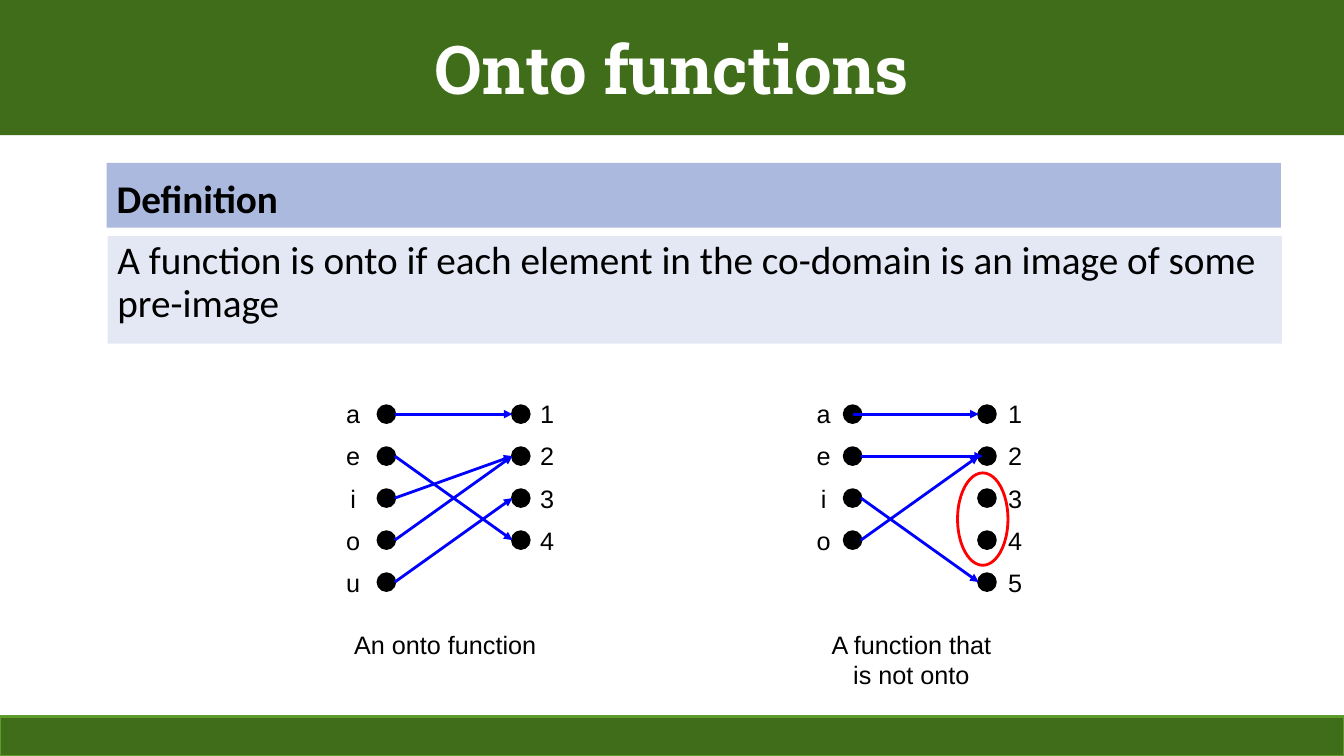
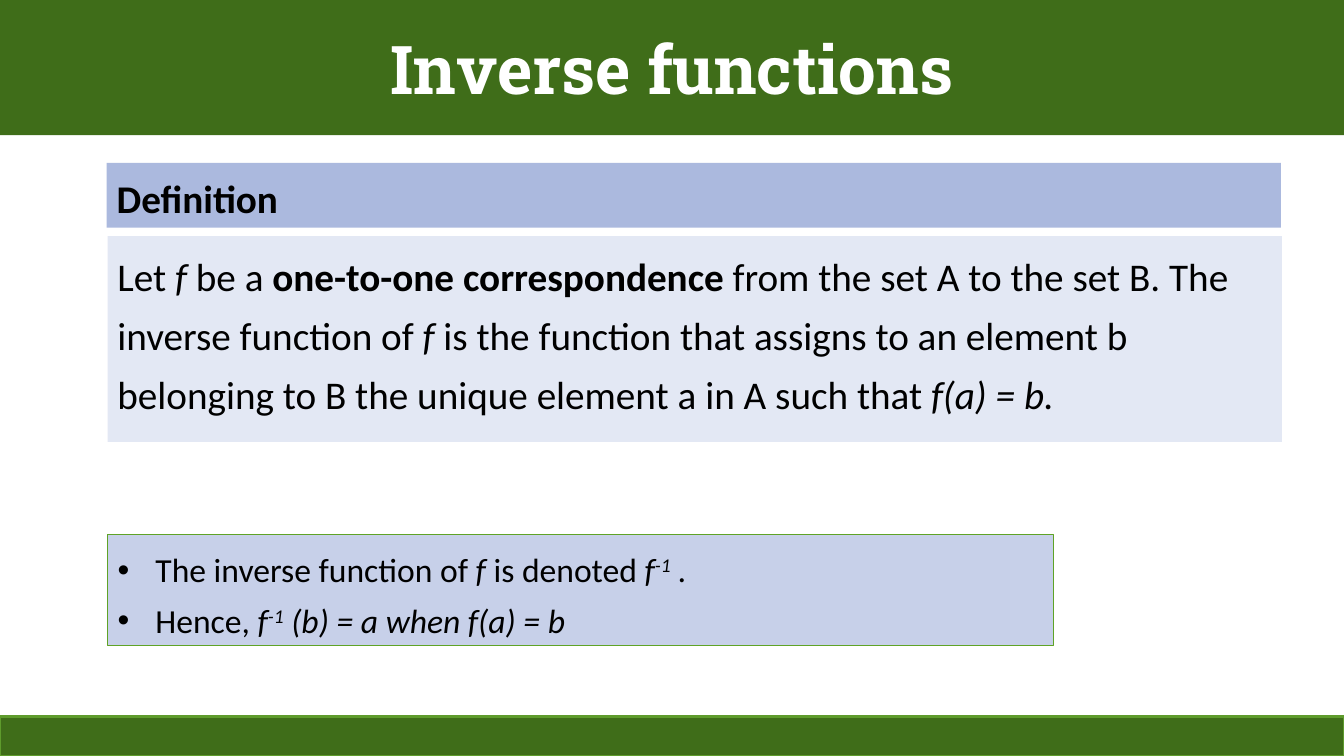
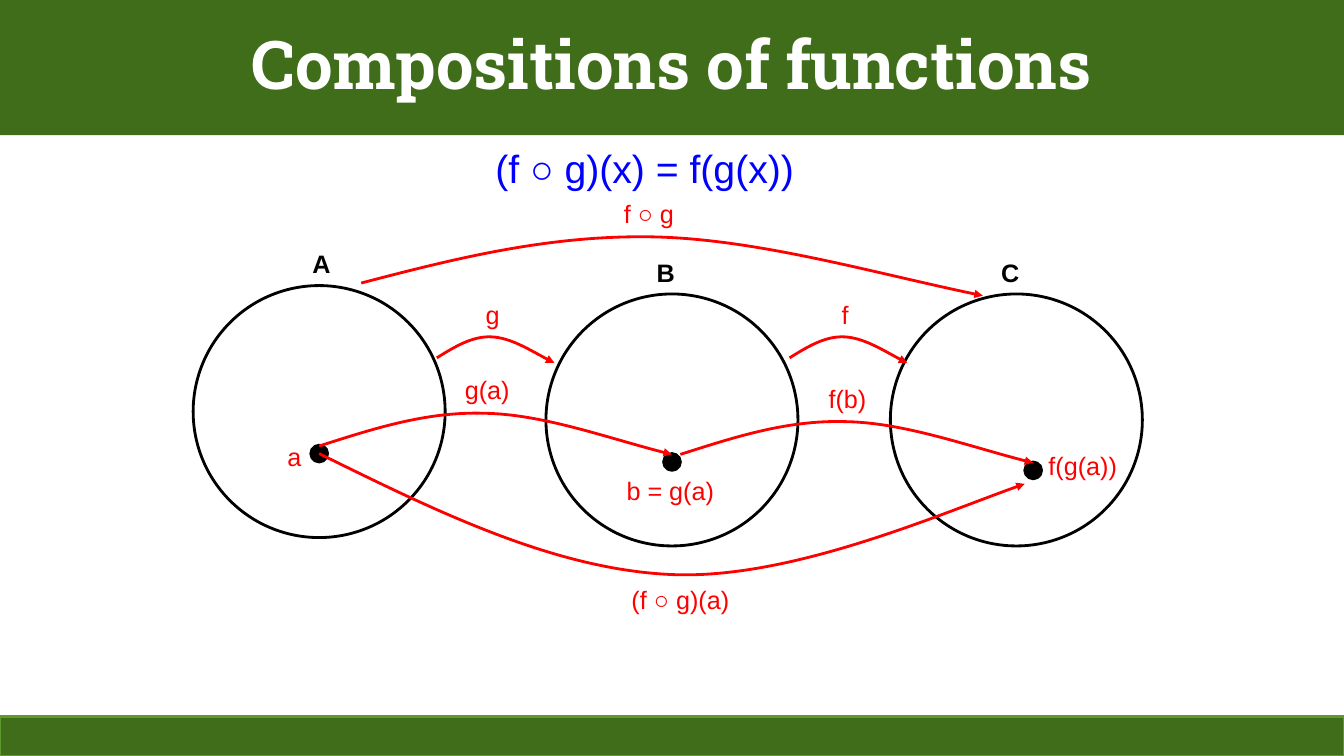
from dataclasses import dataclass

from pptx import Presentation
from pptx.dml.color import RGBColor
from pptx.enum.shapes import MSO_CONNECTOR, MSO_SHAPE
from pptx.enum.text import MSO_ANCHOR, MSO_AUTO_SIZE, PP_ALIGN
from pptx.oxml.ns import qn
from pptx.oxml.xmlchemy import OxmlElement
from pptx.util import Pt

PX = 7620
WIDTH, HEIGHT = 1600, 900
DOT = 20
FIRST_ROW, ROW_STEP = 493, 50
TITLE_AND_CONTENT, TITLE_ONLY = 1, 5
RECTANGLE, ELLIPSE = MSO_SHAPE.RECTANGLE, MSO_SHAPE.OVAL
STRAIGHT = MSO_CONNECTOR.STRAIGHT
LEFT, CENTER = PP_ALIGN.LEFT, PP_ALIGN.CENTER
TOP, MIDDLE = MSO_ANCHOR.TOP, MSO_ANCHOR.MIDDLE
FIXED, GROW = MSO_AUTO_SIZE.NONE, MSO_AUTO_SIZE.SHAPE_TO_FIT_TEXT


@dataclass(frozen=True)
class Theme:
    band: RGBColor = RGBColor(0x3F, 0x6D, 0x19)
    band_line: RGBColor = RGBColor(0x5E, 0x9B, 0x2C)
    heading_fill: RGBColor = RGBColor(0xAB, 0xB9, 0xDE)
    definition_fill: RGBColor = RGBColor(0xE3, 0xE8, 0xF4)
    list_fill: RGBColor = RGBColor(0xC7, 0xD0, 0xE9)
    list_line: RGBColor = RGBColor(0x5F, 0xA3, 0x26)
    white: RGBColor = RGBColor(0xFF, 0xFF, 0xFF)
    black: RGBColor = RGBColor(0, 0, 0)
    blue: RGBColor = RGBColor(0, 0, 0xFF)
    red: RGBColor = RGBColor(0xFF, 0, 0)
    title_font: str = "Roboto Slab"
    text_font: str = "Calibri"
    label_font: str = "Arial"
    title_size: int = 48
    text_size: int = 28
    list_size: int = 24
    label_size: int = 18
    line_width: float = 2
    thin_line: float = 0.75


class Deck:
    def __init__(self, theme):
        self.theme = theme
        self.presentation = Presentation()
        self.presentation.slide_width = WIDTH * PX
        self.presentation.slide_height = HEIGHT * PX
        self.slide = None

    def start_slide(self, title, layout=TITLE_ONLY, spacing=1.0):
        theme = self.theme
        layouts = self.presentation.slide_layouts
        self.slide = self.presentation.slides.add_slide(layouts[layout])
        shape = self.slide.shapes.title
        self.place(shape, (0, 0, WIDTH, 161))
        self.paint(shape, theme.band)
        self.set_text(shape, [title], theme.title_font, theme.title_size, theme.white,
                      bold=True, align=CENTER, anchor=MIDDLE, spacing=spacing)
        self.shape(RECTANGLE, (0, 853, WIDTH, 47), theme.band, theme.band_line)

    def place(self, shape, box):
        shape.left, shape.top, shape.width, shape.height = (n * PX for n in box)

    def paint(self, shape, fill=None, line=None, width=None):
        if fill is None:
            shape.fill.background()
        else:
            shape.fill.solid()
            shape.fill.fore_color.rgb = fill
        if line is None:
            shape.line.fill.background()
        else:
            self.stroke(shape, line, width)

    def stroke(self, shape, color, width=None, arrow=False):
        shape.line.color.rgb = color
        shape.line.width = Pt(width or self.theme.line_width)
        if arrow:
            tail = OxmlElement("a:tailEnd")
            tail.set("type", "triangle")
            shape.element.spPr.find(qn("a:ln")).append(tail)

    def set_text(self, shape, paragraphs, font, size, color, bold=False, align=LEFT,
                 anchor=TOP, spacing=1.0, before=0, wrap=True, fit=FIXED):
        frame = shape.text_frame
        frame.word_wrap = wrap
        frame.auto_size = fit
        frame.vertical_anchor = anchor
        for index, content in enumerate(paragraphs):
            paragraph = frame.add_paragraph() if index else frame.paragraphs[0]
            paragraph.alignment = align
            paragraph.line_spacing = spacing
            paragraph.space_before = Pt(before)
            paragraph.font.name = font
            paragraph.font.size = Pt(size)
            paragraph.font.bold = bold
            paragraph.font.color.rgb = color
            runs = [(content, "")] if isinstance(content, str) else content
            for text, style in runs:
                self.add_run(paragraph, text, style)

    def add_run(self, paragraph, text, style):
        run = paragraph.add_run()
        run.text = text
        if "b" in style:
            run.font.bold = True
        if "i" in style:
            run.font.italic = True
        if "^" in style:
            run._r.get_or_add_rPr().set("baseline", "30000")

    def shape(self, kind, box, fill=None, line=None):
        shape = self.slide.shapes.add_shape(kind, *(n * PX for n in box))
        shape.shadow.inherit = False
        self.paint(shape, fill, line)
        return shape

    def dot(self, x, y):
        box = (x - DOT // 2, y - DOT // 2, DOT, DOT)
        self.shape(ELLIPSE, box, self.theme.black, self.theme.black)

    def arrow(self, start, end):
        connector = self.slide.shapes.add_connector(
            STRAIGHT, *(n * PX for n in (*start, *end)))
        self.stroke(connector, self.theme.blue, arrow=True)
        connector.element.spPr.append(OxmlElement("a:effectLst"))

    def curve(self, start, offsets):
        x, y = start
        builder = self.slide.shapes.build_freeform(x, y, scale=PX)
        builder.add_line_segments([(x + dx, y + dy) for dx, dy in offsets], close=False)
        shape = builder.convert_to_shape()
        segments = list(shape.element.iter(qn("a:lnTo")))
        for first in range(0, len(segments), 3):
            bezier = OxmlElement("a:cubicBezTo")
            segments[first].addprevious(bezier)
            for segment in segments[first:first + 3]:
                bezier.append(segment[0])
                segment.getparent().remove(segment)
        shape.shadow.inherit = False
        shape.fill.background()
        self.stroke(shape, self.theme.red, arrow=True)

    def label(self, lines, box, color, size=None, bold=False, align=CENTER,
              spacing=1.0, wrap=False):
        shape = self.slide.shapes.add_textbox(*(n * PX for n in box))
        self.set_text(shape, lines, self.theme.label_font, size or self.theme.label_size,
                      color, bold=bold, align=align, spacing=spacing, wrap=wrap, fit=GROW)

    def definition(self, content, height, spacing):
        theme = self.theme
        heading = self.shape(RECTANGLE, (127, 194, 1398, 77), theme.heading_fill)
        self.set_text(heading, ["Definition"], theme.text_font, theme.text_size,
                      theme.black, bold=True, spacing=1.14, before=10)
        body = self.shape(RECTANGLE, (128, 281, 1398, height), theme.definition_fill)
        self.set_text(body, [content], theme.text_font, theme.text_size, theme.black,
                      spacing=spacing, before=10)

    def bullets(self, items, box):
        theme = self.theme
        body = self.slide.placeholders[1]
        self.place(body, box)
        self.paint(body, theme.list_fill, theme.list_line, theme.thin_line)
        self.set_text(body, items, theme.text_font, theme.list_size, theme.black,
                      spacing=1.25)

    def mapping(self, domain, codomain, arrows, caption, caption_box):
        for elements, dot_x, label_x in (domain, codomain):
            for row in range(len(elements)):
                self.dot(dot_x, FIRST_ROW + row * ROW_STEP)
            self.label(elements, (label_x, 454, 41, 264), self.theme.black, spacing=1.4)
        for start_row, end_row, start_shift, end_shift in arrows:
            start_x = domain[1] + DOT // 2 + start_shift
            end_x = codomain[1] - DOT // 2 + end_shift
            self.arrow((start_x, FIRST_ROW + start_row * ROW_STEP),
                       (end_x, FIRST_ROW + end_row * ROW_STEP))
        self.label([caption], caption_box, self.theme.black, wrap=True)


def onto_functions(deck):
    deck.start_slide("Onto functions")
    deck.definition("A function is onto if each element in the co-domain is an image "
                    "of some pre-image", 128, 0.9)
    deck.mapping(("aeiou", 460, 400), ("1234", 620, 631),
                 [(0, 0, 0, 0), (1, 3, 0, 0), (2, 1, 0, 0), (3, 1, 0, 0), (4, 2, 0, 0)],
                 "An onto function", (400, 743, 260, 48))
    deck.mapping(("aeio", 1015, 960), ("12345", 1175, 1188),
                 [(0, 0, -10, 0), (1, 1, 0, 5), (2, 4, 0, 0), (3, 1, 0, 0)],
                 "A function that is not onto", (970, 743, 230, 84))
    deck.shape(ELLIPSE, (1140, 563, 60, 110), line=deck.theme.red)


def inverse_functions(deck):
    deck.start_slide("Inverse functions", TITLE_AND_CONTENT)
    deck.definition([
        ("Let ", ""), ("f ", "i"), ("be a ", ""), ("one-to-one correspondence", "b"),
        (" from the set A to the set B. The inverse function of ", ""), ("f ", "i"),
        ("is the function that assigns to an element b belonging to B the unique "
         "element a in A such that ", ""),
        ("f(a) = b.", "i"),
    ], 245, 1.25)
    deck.bullets([
        [("The inverse function of ", ""), ("f ", "i"), ("is denoted ", ""),
         ("f", "i"), ("-1", "i^"), (" .", "i")],
        [("Hence, ", ""), ("f", "i"), ("-1", "i^"), (" (b) = a when f(a) = b", "i")],
    ], (128, 636, 1126, 133))


def compositions(deck):
    theme = deck.theme
    deck.start_slide("Compositions of functions", spacing=0.9)
    deck.label(["(f ○ g)(x) = f(g(x))"], (566, 166, 403, 68), theme.blue, theme.text_size)

    for name, x, y, name_x in (("A", 230, 340, 360), ("B", 650, 350, 770),
                               ("C", 1060, 350, 1180)):
        deck.shape(ELLIPSE, (x, y, 300, 300), line=theme.black)
        deck.label([name], (name_x, y - 50, 46, 48), theme.black, bold=True,
                   align=LEFT, wrap=True)
    for x, y in ((380, 540), (800, 550), (1230, 560)):
        deck.dot(x, y)

    set_arc = [(21, -13), (42, -26), (65, -25), (88, -24), (116, -6), (140, 6)]
    element_arc = [(63, -20), (126, -41), (196, -39), (266, -38), (347, -8), (420, 10)]
    upper_arc = [(111, -29), (222, -57), (345, -55), (469, -53), (613, -11), (740, 15)]
    lower_arc = [(140, 69), (280, 138), (420, 144), (560, 150), (743, 70), (840, 36)]
    for start, arc in (((520, 426), set_arc), ((940, 426), set_arc),
                       ((380, 531), element_arc), ((810, 541), element_arc),
                       ((430, 337), upper_arc), ((380, 540), lower_arc)):
        deck.curve(start, arc)

    for text, x, y, width in (
        ("g", 566, 350, 41), ("f", 990, 350, 32), ("f ○ g", 724, 230, 97),
        ("g(a)", 541, 440, 78), ("f(b)", 974, 450, 70), ("(f ○ g)(a)", 733, 690, 154),
        ("b = g(a)", 734, 560, 128), ("f(g(a))", 1236, 530, 106), ("a", 330, 520, 41),
    ):
        deck.label([text], (x, y, width, 48), theme.red)


def main():
    deck = Deck(Theme())
    onto_functions(deck)
    inverse_functions(deck)
    compositions(deck)
    deck.presentation.save("out.pptx")


if __name__ == "__main__":
    main()
